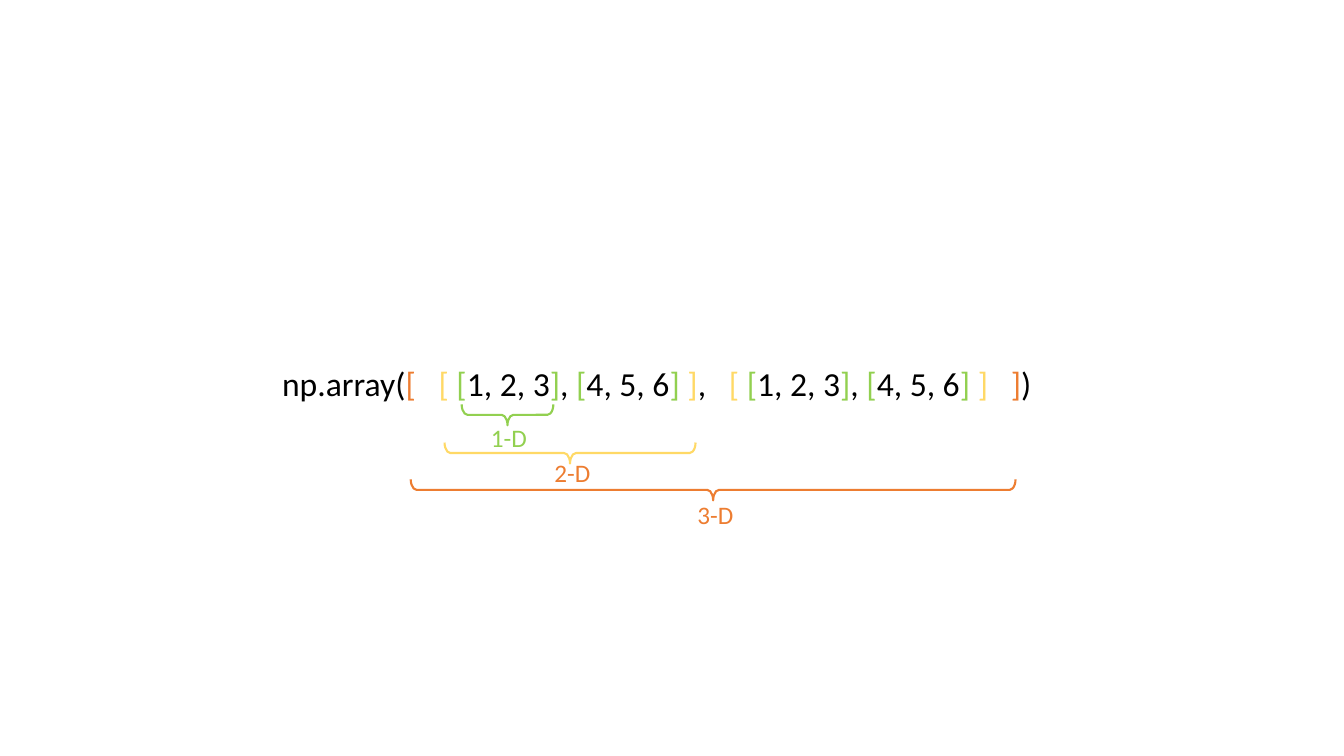
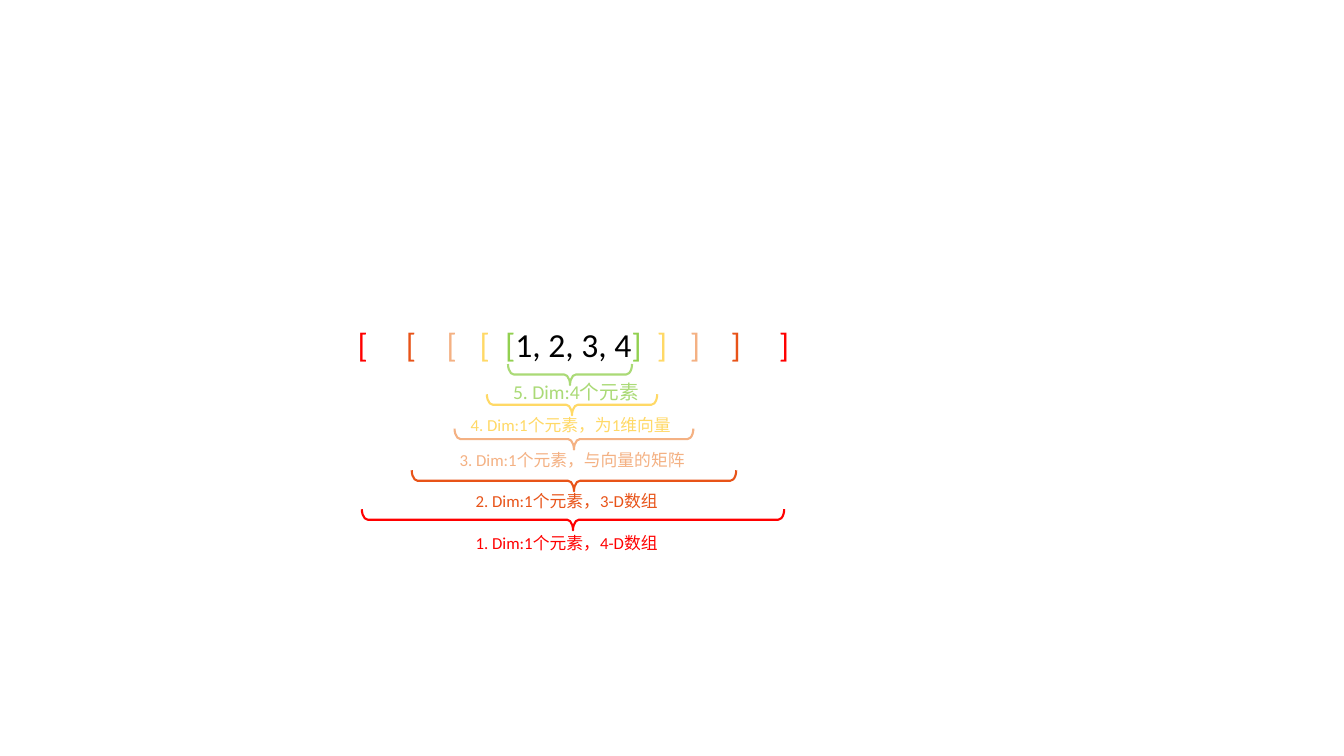
"""Build two slides that show how nested brackets map to array dimensions."""
from pptx import Presentation
from pptx.dml.color import RGBColor
from pptx.enum.shapes import MSO_SHAPE
from pptx.enum.text import MSO_AUTO_SIZE
from pptx.util import Pt

BRACE = MSO_SHAPE.LEFT_BRACE
GROW = MSO_AUTO_SIZE.SHAPE_TO_FIT_TEXT

FONT = "Calibri"
BLACK = "000000"
GREEN = "92D050"
LIGHT_GREEN = "AADA76"
YELLOW = "FFD966"
PEACH = "F4B183"
ORANGE = "ED7D31"
DEEP_ORANGE = "E85318"
RED = "FF0000"

CODE_SIZE = 24
SPACE_WIDTH = 5.42
BRACE_DEPTH = 15


def rgb(value):
    return RGBColor.from_string(value)


def add_text(s, x, y, w, h, parts, size, inset_x=0, inset_y=0):
    tf = s.shapes.add_textbox(Pt(x), Pt(y), Pt(w), Pt(h)).text_frame
    tf.word_wrap = True
    tf.auto_size = GROW
    tf.margin_left = tf.margin_right = Pt(inset_x)
    tf.margin_top = tf.margin_bottom = Pt(inset_y)
    p = tf.paragraphs[0]
    for text, color, spaces in parts:
        for piece in (text, " ") if spaces else (text,):
            r = p.add_run()
            r.text = piece
            r.font.name = FONT
            r.font.size = Pt(size)
            r.font.color.rgb = rgb(color)
            if piece == " " and spaces > 1:
                tracking = round((spaces - 1) * SPACE_WIDTH * 100)
                r._r.get_or_add_rPr().set("spc", str(tracking))


vectors = [
    ("[", GREEN, 0), ("1, 2, 3", BLACK, 0), ("]", GREEN, 0), (",", BLACK, 1),
    ("[", GREEN, 0), ("4, 5, 6", BLACK, 0), ("]", GREEN, 1),
]
matrix = [("[", YELLOW, 1), *vectors]
array_code = [
    ("np.array(", BLACK, 0), ("[", ORANGE, 3),
    *matrix, ("]", YELLOW, 0), (",", BLACK, 3),
    *matrix, ("]", YELLOW, 3),
    ("]", ORANGE, 0), (")", BLACK, 0),
]

levels = [(RED, 5), (DEEP_ORANGE, 4), (PEACH, 3), (YELLOW, 2), (GREEN, 0)]
closing = [(GREEN, 2), (YELLOW, 3), (PEACH, 4), (DEEP_ORANGE, 5), (RED, 0)]
nested_code = [
    *[("[", color, gap) for color, gap in levels],
    ("1, 2, 3, 4", BLACK, 0),
    *[("]", color, gap) for color, gap in closing],
]

slides = [
    {
        "code": (194.4, 255.6, 604.8, array_code),
        "braces": [
            (362.5, 296.3, 65.5, GREEN),
            (407.2, 323.6, 179.3, YELLOW),
            (509.4, 349.9, 432, ORANGE),
        ],
        "labels": [
            (350.6, 301.7, 37.5, 18, "1-D", GREEN),
            (396, 326.9, 37.5, 18, "2-D", ORANGE),
            (498.2, 356.4, 37.5, 18, "3-D", ORANGE),
        ],
    },
    {
        "code": (248.4, 228.2, 332, nested_code),
        "braces": [
            (407.2, 267.5, 88.6, LIGHT_GREEN),
            (408.6, 289.1, 121.7, YELLOW),
            (410, 313.6, 170.6, PEACH),
            (410, 343.4, 231.8, DEEP_ORANGE),
            (409.3, 371.2, 301.7, RED),
        ],
        "labels": [
            (366.5, 271.4, 105, 14, "5. Dim:4个元素", LIGHT_GREEN),
            (336.2, 296.6, 197.3, 12, "4. Dim:1个元素，为1维向量", YELLOW),
            (328.3, 321.1, 197.3, 12, "3. Dim:1个元素，与向量的矩阵", PEACH),
            (339.8, 350.6, 197.3, 12, "2. Dim:1个元素，3-D数组", DEEP_ORANGE),
            (339.8, 380.2, 197.3, 12, "1. Dim:1个元素，4-D数组", RED),
        ],
    },
]

prs = Presentation()
prs.slide_width, prs.slide_height = Pt(960), Pt(540)

for content in slides:
    s = prs.slides.add_slide(prs.slide_layouts[6])
    x, y, w, code = content["code"]
    add_text(s, x, y, w, 36, code, CODE_SIZE, 7.2, 3.6)

    for cx, cy, span, color in content["braces"]:
        sp = s.shapes.add_shape(BRACE, Pt(cx - BRACE_DEPTH / 2), Pt(cy - span / 2),
                                Pt(BRACE_DEPTH), Pt(span))
        sp.rotation = 270
        sp.adjustments[0] = 0.28
        sp.shadow.inherit = False
        sp.fill.background()
        sp.line.color.rgb = rgb(color)
        sp.line.width = Pt(1.5)

    for x, y, w, size, text, color in content["labels"]:
        add_text(s, x, y, w, size * 1.2, [(text, color, 0)], size)

prs.save("out.pptx")
